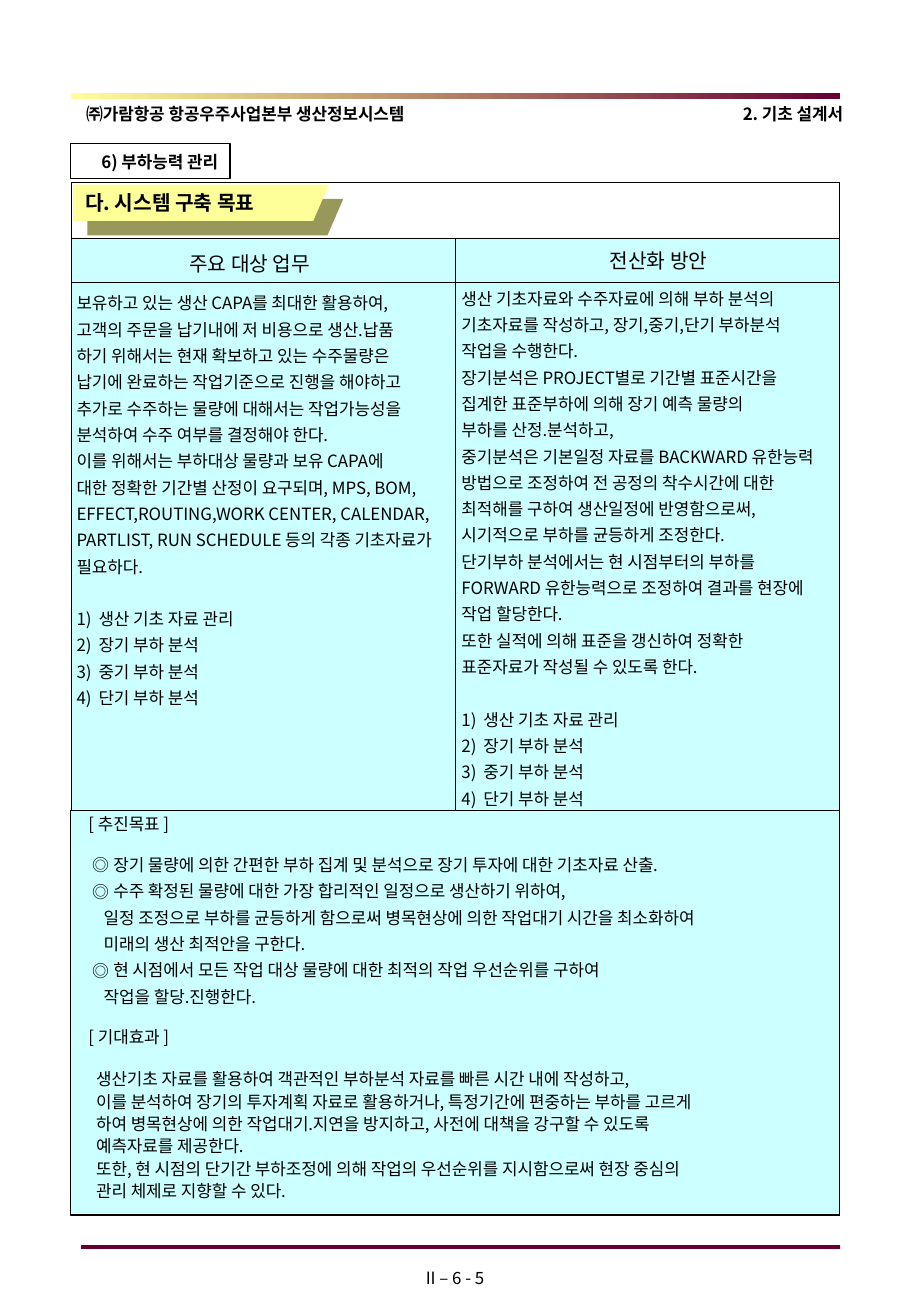
import lxml.etree
import pptx
import pptx.dml.color
import pptx.enum.shapes
import pptx.enum.text
import pptx.oxml.ns
import pptx.util

Cm = pptx.util.Cm
Pt = pptx.util.Pt
ALIGN = pptx.enum.text.PP_ALIGN
ANCHOR = pptx.enum.text.MSO_ANCHOR
FONT = "Noto Sans CJK KR"
INK, WINE, YELLOW, OLIVE, CYAN = "000000", "660033", "FFFF99", "98985B", "CCFFFF"
LEFT, WIDTH = 1.48, 16.08

TASKS = """보유하고 있는 생산 CAPA를 최대한 활용하여,
고객의 주문을 납기내에 저 비용으로 생산.납품
하기 위해서는 현재 확보하고 있는 수주물량은
납기에 완료하는 작업기준으로 진행을 해야하고
추가로 수주하는 물량에 대해서는 작업가능성을
분석하여 수주 여부를 결정해야 한다.
이를 위해서는 부하대상 물량과 보유 CAPA에
대한 정확한 기간별 산정이 요구되며, MPS, BOM,
EFFECT,ROUTING,WORK CENTER, CALENDAR,
PARTLIST, RUN SCHEDULE 등의 각종 기초자료가
필요하다."""
PLANS = """생산 기초자료와 수주자료에 의해 부하 분석의
기초자료를 작성하고, 장기,중기,단기 부하분석
작업을 수행한다.
장기분석은 PROJECT별로 기간별 표준시간을
집계한 표준부하에 의해 장기 예측 물량의
부하를 산정.분석하고,
중기분석은 기본일정 자료를 BACKWARD 유한능력
방법으로 조정하여 전 공정의 착수시간에 대한
최적해를 구하여 생산일정에 반영함으로써,
시기적으로 부하를 균등하게 조정한다.
단기부하 분석에서는 현 시점부터의 부하를
FORWARD 유한능력으로 조정하여 결과를 현장에
작업 할당한다.
또한 실적에 의해 표준을 갱신하여 정확한
표준자료가 작성될 수 있도록 한다."""
STEPS = ["생산 기초 자료 관리", "장기 부하 분석", "중기 부하 분석", "단기 부하 분석"]
GOALS = [
    ["장기 물량에 의한 간편한 부하 집계 및 분석으로 장기 투자에 대한 기초자료 산출."],
    ["수주 확정된 물량에 대한 가장 합리적인 일정으로 생산하기 위하여,",
     "일정 조정으로 부하를 균등하게 함으로써 병목현상에 의한 작업대기 시간을 최소화하여",
     "미래의 생산 최적안을 구한다."],
    ["현 시점에서 모든 작업 대상 물량에 대한 최적의 작업 우선순위를 구하여",
     "작업을 할당.진행한다."],
]
EFFECTS = """생산기초 자료를 활용하여 객관적인 부하분석 자료를 빠른 시간 내에 작성하고,
이를 분석하여 장기의 투자계획 자료로 활용하거나, 특정기간에 편중하는 부하를 고르게
하여 병목현상에 의한 작업대기.지연을 방지하고, 사전에 대책을 강구할 수 있도록
예측자료를 제공한다.
또한, 현 시점의 단기간 부하조정에 의해 작업의 우선순위를 지시함으로써 현장 중심의
관리 체제로 지향할 수 있다."""


def colour(value):
    return pptx.dml.color.RGBColor.from_string(value)


def add_element(parent, tag, **attributes):
    element = lxml.etree.SubElement(parent, pptx.oxml.ns.qn(tag))
    for name, value in attributes.items():
        element.set(name, str(value))
    return element


def write(box, text, size=10, leading=12, bold=False, align=ALIGN.LEFT,
          before=0, indent=0, hang=0, mark=None):
    frame = box.text_frame
    para = frame.paragraphs[0]
    if para.runs:
        para = frame.add_paragraph()
    para.alignment = align
    para.line_spacing = Pt(leading)
    para.space_before = Pt(before)
    para.space_after = Pt(0)
    properties = para._p.get_or_add_pPr()
    properties.set("marL", str(Cm(indent)))
    properties.set("indent", str(Cm(-hang)))
    if mark:
        add_element(properties, "a:buFont", typeface=FONT)
        if mark == "number":
            add_element(properties, "a:buAutoNum", type="arabicParenR")
        else:
            add_element(properties, "a:buChar", char=mark)
    else:
        add_element(properties, "a:buNone")
    span = para.add_run()
    span.text = text
    span.font.size = Pt(size)
    span.font.bold = bold
    span.font.color.rgb = colour(INK)
    span.font.name = FONT
    add_element(span._r.get_or_add_rPr(), "a:ea", typeface=FONT)


class Sheet:
    """Holds the page and the shared look of its elements."""

    def __init__(self, page):
        self.page = page
        self.shapes = page.shapes

    def rectangle(self, left, top, width, height, fill=None, line=None, weight=0.75):
        box = self.shapes.add_shape(pptx.enum.shapes.MSO_SHAPE.RECTANGLE,
                                    Cm(left), Cm(top), Cm(width), Cm(height))
        box.shadow.inherit = False
        if fill:
            box.fill.solid()
            box.fill.fore_color.rgb = colour(fill)
        else:
            box.fill.background()
        if line:
            box.line.color.rgb = colour(line)
            box.line.width = Pt(weight)
        else:
            box.line.fill.background()
        return box

    def gradient(self, left, top, width, height, colours):
        box = self.rectangle(left, top, width, height)
        box.fill.gradient()
        box.fill.gradient_angle = 0
        for stop, value in zip(box.fill.gradient_stops, colours):
            stop.color.rgb = colour(value)

    def line(self, start, end):
        connector = self.shapes.add_connector(pptx.enum.shapes.MSO_CONNECTOR.STRAIGHT,
                                              *map(Cm, start + end))
        connector.line.color.rgb = colour(INK)
        connector.line.width = Pt(0.75)
        add_element(connector.element.spPr, "a:effectLst")
        return connector

    def banner(self, points, fill, shade):
        start, *others = [(Cm(x), Cm(y)) for x, y in points]
        builder = self.shapes.build_freeform(*start)
        builder.add_line_segments(others, close=True)
        box = builder.convert_to_shape()
        box.fill.solid()
        box.fill.fore_color.rgb = colour(fill)
        box.line.fill.background()
        box.shadow.inherit = False
        effects = box.element.spPr.find(pptx.oxml.ns.qn("a:effectLst"))
        shadow = add_element(effects, "a:outerShdw", dist=Pt(12), dir=45 * 60000,
                             algn="ctr", rotWithShape=0)
        add_element(shadow, "a:srgbClr", val=shade)

    def frame(self, box, anchor=ANCHOR.TOP):
        frame = box.text_frame
        frame.word_wrap = True
        frame.auto_size = pptx.enum.text.MSO_AUTO_SIZE.NONE
        frame.vertical_anchor = anchor
        frame.margin_left = frame.margin_right = Cm(0.25)
        frame.margin_top = frame.margin_bottom = Cm(0.13)
        return box

    def text(self, left, top, width, height):
        return self.frame(self.shapes.add_textbox(Cm(left), Cm(top), Cm(width), Cm(height)))

    def placeholder(self, index, left, top, width, height, anchor=ANCHOR.TOP):
        box = self.page.placeholders[index]
        box.left, box.top, box.width, box.height = map(Cm, (left, top, width, height))
        box.element.getparent().append(box.element)
        return self.frame(box, anchor)


def main():
    deck = pptx.Presentation()
    deck.slide_width, deck.slide_height = Cm(19.05), Cm(27.51)
    sheet = Sheet(deck.slides.add_slide(deck.slide_layouts[4]))

    write(sheet.text(1.55, 2, 7.6, 0.74), "㈜가람항공 항공우주사업본부 생산정보시스템",
          leading=13.2, bold=True)
    write(sheet.text(14.6, 2, 3.28, 0.74), "2. 기초 설계서",
          leading=13.2, bold=True, align=ALIGN.RIGHT)
    write(sheet.text(7.47, 26.37, 4.09, 0.69), "II – 6 - 5", align=ALIGN.CENTER)

    sheet.rectangle(LEFT, 3.81, WIDTH, 21.59, line=INK, weight=0.25)
    sheet.gradient(LEFT, 1.95, WIDTH, 0.12, (YELLOW, WINE))
    sheet.rectangle(1.7, 26.03, 15.87, 0.08, fill=WINE)
    section = sheet.frame(sheet.rectangle(LEFT, 3, 3.33, 0.74, line=INK), ANCHOR.MIDDLE)
    write(section, "6) 부하능력 관리", leading=13.2, bold=True, align=ALIGN.RIGHT)

    grid = sheet.rectangle(1.5, 4.98, 16.05, 11.96, fill=CYAN, line=INK)
    sheet.line((LEFT, 5.9), (LEFT + WIDTH, 5.9))
    divider = sheet.line((9.53, 4.98), (9.53, 16.94))
    divider.begin_connect(grid, 0)
    divider.end_connect(grid, 2)
    sheet.rectangle(LEFT, 16.94, WIDTH, 8.46, fill=CYAN, line=INK)

    columns = [
        (1, "주요 대상 업무", (3.71, 5.13, 3.3, 0.76), TASKS, (1.35, 5.87, 8.46, 9.07)),
        (3, "전산화 방안", (12.5, 5.05, 2.8, 0.76), PLANS, (9.4, 5.77, 8.3, 11.3)),
    ]
    for index, heading, heading_area, lines, body_area in columns:
        write(sheet.placeholder(index, *heading_area), heading, size=12, leading=14.4)
        body = sheet.placeholder(index + 1, *body_area)
        for line in lines.splitlines():
            write(body, line, leading=15.6)
        for number, step in enumerate(STEPS):
            write(body, step, leading=15.6, before=0 if number else 15.6,
                  indent=0.46, hang=0.46, mark="number")

    summary = sheet.text(1.6, 16.89, 15.98, 8.36)
    write(summary, "[ 추진목표 ]")
    for number, (goal, *details) in enumerate(GOALS):
        write(summary, goal, leading=15.6 if number else 12, before=0 if number else 12,
              indent=0.52, hang=0.44, mark="◎")
        for detail in details:
            write(summary, detail, leading=15.6, indent=0.32)
    write(summary, "[ 기대효과 ]", before=12)
    for number, line in enumerate(EFFECTS.splitlines()):
        write(summary, line, leading=13.2, before=0 if number else 12, indent=0.16)

    sheet.banner([(1.53, 3.86), (6.88, 3.86), (6.55, 4.62), (1.53, 4.62)], YELLOW, OLIVE)
    title = sheet.placeholder(0, 1.53, 3.86, 4.93, 0.76, ANCHOR.MIDDLE)
    write(title, "다. 시스템 구축 목표", size=12, leading=14.4, bold=True)

    deck.save("out.pptx")


if __name__ == "__main__":
    main()
